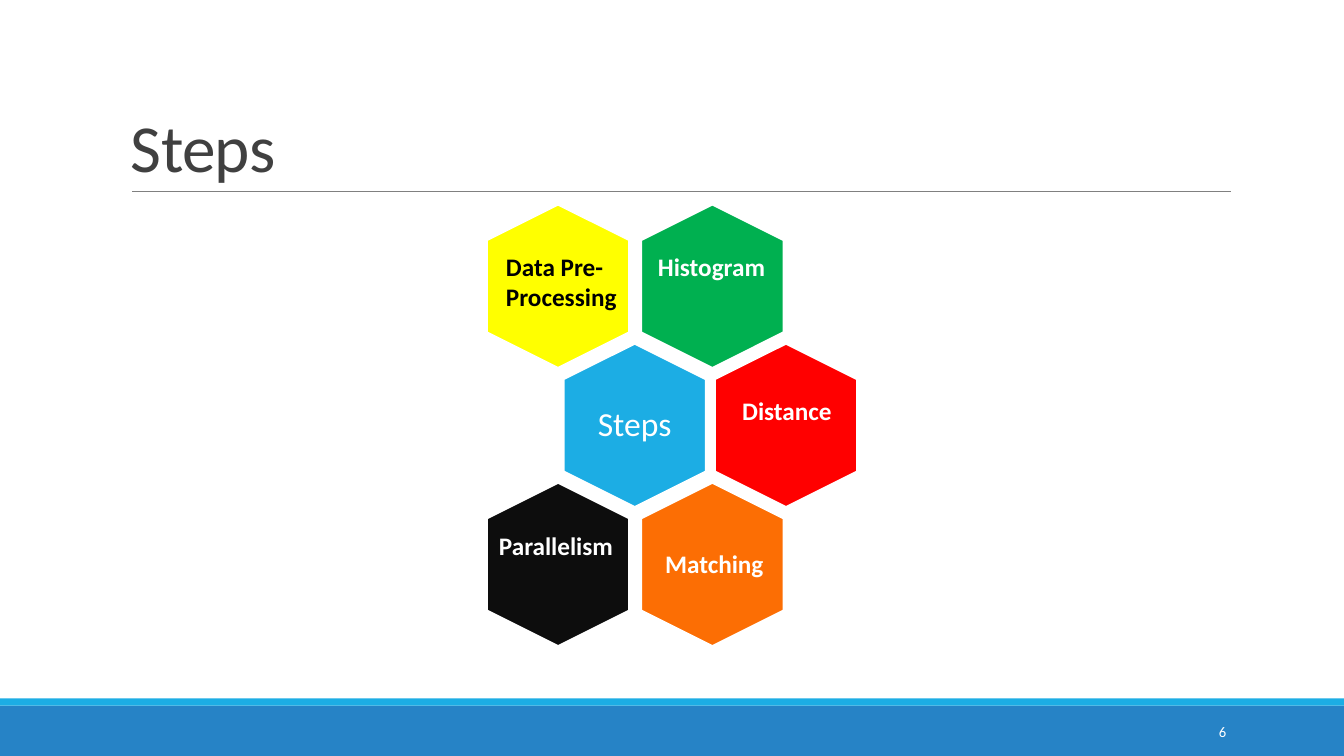
from dataclasses import dataclass

from lxml import etree
from pptx import Presentation
from pptx import util as u
from pptx.dml.color import RGBColor
from pptx.enum import shapes, text
from pptx.oxml import ns
from pptx.slide import Slide

Box = tuple[float, float, float, float]


@dataclass(frozen=True)
class Theme:
    """Colours, font and type sizes of the slide."""
    font: str = "Calibri"
    white: str = "FFFFFF"
    black: str = "000000"
    ink: str = "404040"
    rule: str = "808080"
    blue: str = "2683C6"
    sky: str = "1CADE4"
    green: str = "00B050"
    yellow: str = "FFFF00"
    red: str = "FF0000"
    orange: str = "FC6E04"
    coal: str = "0D0D0D"
    title: float = 48
    hub: float = 24
    label: float = 18
    page: float = 10.5


@dataclass(frozen=True)
class Cell:
    """A hexagon, placed by row and left edge."""
    row: int
    left: float
    fill: str


@dataclass(frozen=True)
class Label:
    """A block of text and its look."""
    box: Box
    lines: tuple[str, ...]
    size: float
    color: str
    bold: bool = False
    align: text.PP_ALIGN = text.PP_ALIGN.CENTER
    anchor: text.MSO_ANCHOR = text.MSO_ANCHOR.TOP
    lead: float = 1.0
    track: int = 0


T = Theme()
LEFT, RIGHT = text.PP_ALIGN.LEFT, text.PP_ALIGN.RIGHT
MID, LOW = text.MSO_ANCHOR.MIDDLE, text.MSO_ANCHOR.BOTTOM
TOP, PITCH, LONG, SHORT = 2.13, 1.38, 1.63, 1.42

BARS: list[tuple[Box, str]] = [
    ((0, 7, 13.33, 0.5), T.blue),
    ((0, 6.93, 13.33, 0.07), T.sky),
]
CELLS = [
    Cell(0, 6.25, T.green),
    Cell(0, 4.72, T.yellow),
    Cell(1, 5.48, T.sky),
    Cell(1, 6.98, T.red),
    Cell(2, 6.25, T.orange),
    Cell(2, 4.72, T.coal),
]
LABELS = [
    Label((1.2, 0.31, 11, 1.59), ("Steps",), T.title, T.ink,
          align=LEFT, anchor=LOW, lead=0.85, track=-50),
    Label((5.48, 3.51, LONG, SHORT), ("Steps",), T.hub, T.white,
          anchor=MID, lead=0.9),
    Label((10.83, 7.06, 1.43, 0.4), ("6",), T.page, T.white,
          align=RIGHT, anchor=MID),
    Label((4.92, 2.44, 1.33, 1.3), ("Data Pre-", "Processing"), T.label,
          T.black, bold=True, align=LEFT),
    Label((6.28, 2.44, 1.61, 0.7), ("Histogram ",), T.label, T.white, True),
    Label((7, 3.87, 1.61, 0.4), ("Distance",), T.label, T.white, True),
    Label((6.28, 5.39, 1.61, 0.4), ("Matching",), T.label, T.white, True),
    Label((4.71, 5.21, 1.61, 0.7), ("Parallelism",), T.label, T.white, True),
]


def rgb(code: str) -> RGBColor:
    """Turn a hex code into a colour."""
    return RGBColor.from_string(code)


def add_bar(slide: Slide, box: Box, fill: str) -> None:
    """Draw a plain footer bar."""
    bar = slide.shapes.add_shape(shapes.MSO_SHAPE.RECTANGLE, *map(u.Inches, box))
    bar.shadow.inherit = False
    bar.fill.solid()
    bar.fill.fore_color.rgb = rgb(fill)
    bar.line.fill.background()


def add_rule(slide: Slide) -> None:
    """Draw the line below the title."""
    rule = slide.shapes.add_connector(
        shapes.MSO_CONNECTOR.STRAIGHT, *map(u.Inches, (1.31, 1.9, 12.21, 1.9)))
    rule.line.color.rgb = rgb(T.rule)
    rule.line.width = u.Pt(0.5)
    etree.SubElement(rule._element.spPr, ns.qn("a:effectLst"))


def add_cell(slide: Slide, cell: Cell) -> None:
    """Draw one upright hexagon of the honeycomb."""
    box = (cell.left, TOP + cell.row * PITCH, LONG, SHORT)
    hexa = slide.shapes.add_shape(shapes.MSO_SHAPE.HEXAGON, *map(u.Inches, box))
    hexa.adjustments[0] = 0.25
    hexa.rotation = 90
    hexa.shadow.inherit = False
    hexa.fill.solid()
    hexa.fill.fore_color.rgb = rgb(cell.fill)
    hexa.line.color.rgb = rgb(T.white)
    hexa.line.width = u.Pt(2)


def add_label(slide: Slide, label: Label) -> None:
    """Write a label, one paragraph for each line."""
    frame = slide.shapes.add_textbox(*map(u.Inches, label.box)).text_frame
    frame.word_wrap = True
    frame.vertical_anchor = label.anchor
    for i, line in enumerate(label.lines):
        para = frame.add_paragraph() if i else frame.paragraphs[0]
        para.alignment = label.align
        para.line_spacing = label.lead
        run = para.add_run()
        run.text = line
        run.font.name = T.font
        run.font.size = u.Pt(label.size)
        run.font.bold = label.bold
        run.font.color.rgb = rgb(label.color)
        if label.track:
            run._r.get_or_add_rPr().set("spc", str(label.track))


def main() -> None:
    """Build and save the slide."""
    deck = Presentation()
    deck.slide_width, deck.slide_height = u.Inches(13.33), u.Inches(7.5)
    slide = deck.slides.add_slide(deck.slide_layouts[6])
    for box, fill in BARS:
        add_bar(slide, box, fill)
    add_rule(slide)
    for cell in CELLS:
        add_cell(slide, cell)
    for label in LABELS:
        add_label(slide, label)
    deck.save("out.pptx")


if __name__ == "__main__":
    main()
